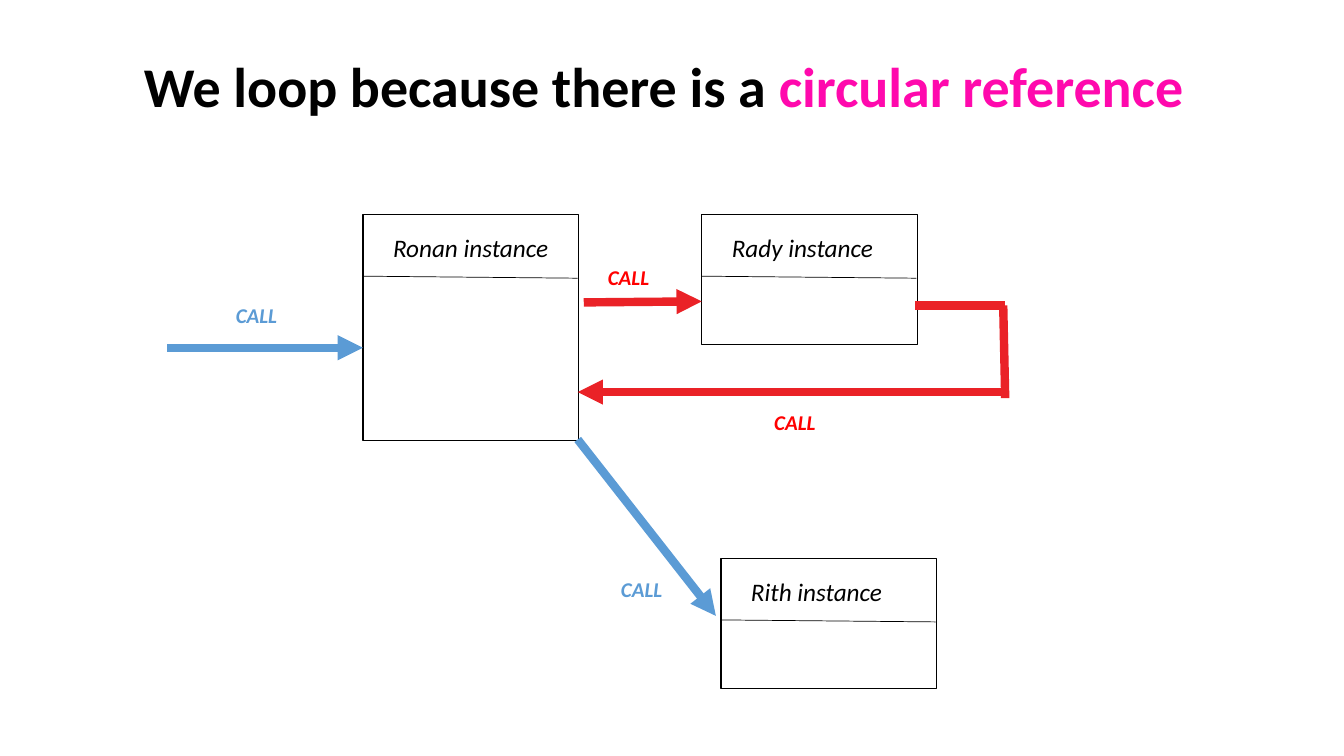
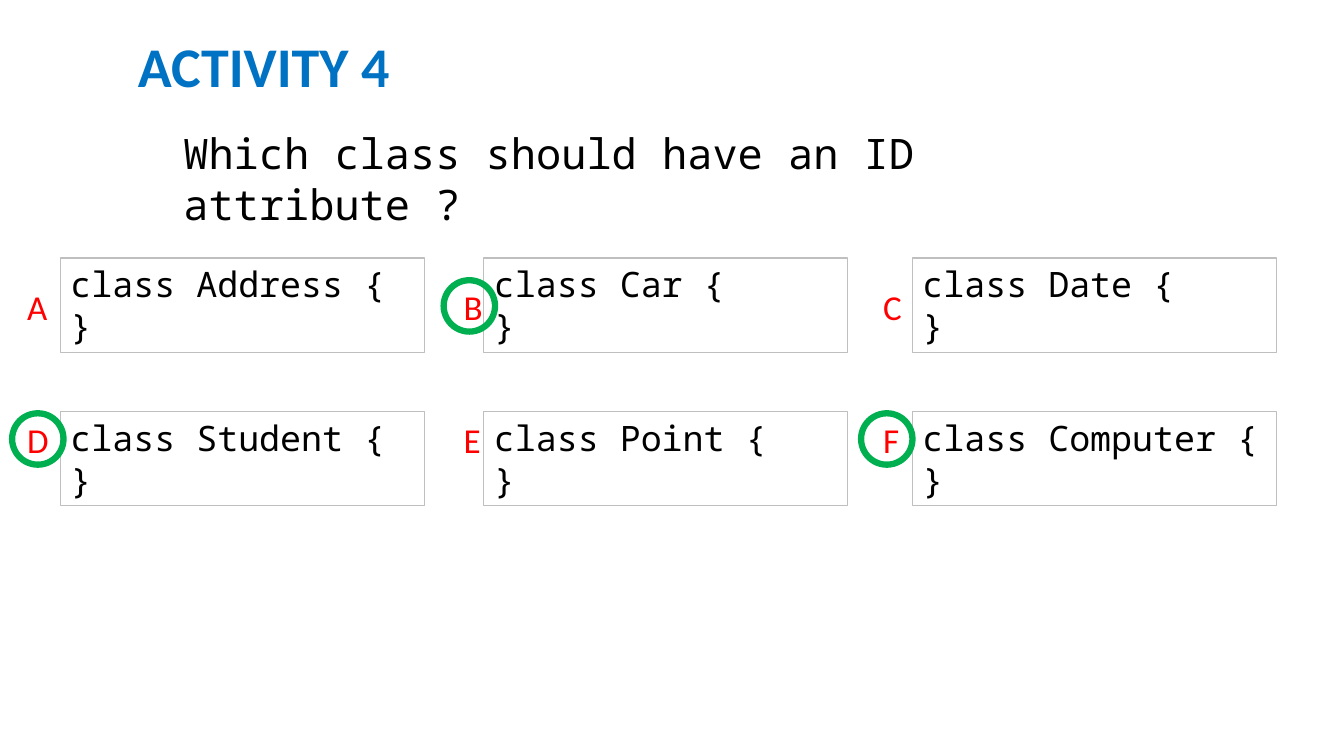
from pptx import Presentation
from pptx.dml.color import RGBColor as RGB
from pptx.enum.shapes import MSO_CONNECTOR as Link, MSO_SHAPE as Form
from pptx.enum.text import MSO_ANCHOR as Anchor, MSO_AUTO_SIZE as Fit, PP_ALIGN as Align
from pptx.oxml.ns import qn
from pptx.util import Inches, Pt
from lxml.etree import SubElement

HUES = {
    "black": "000000", "white": "FFFFFF", "pink": "FF09AD", "title": "0072C3",
    "blue": "5B9BD5", "crimson": "EA2227", "red": "FF0000",
    "gray": "BFBFBF", "green": "00B050",
}
STYLES = {
    "title": {"name": "Calibri", "size": Pt(40), "bold": True},
    "name": {"name": "Calibri", "size": Pt(18), "italic": True},
    "call": {"name": "Calibri", "size": Pt(15), "bold": True, "italic": True},
    "ask": {"name": "Noto Sans Mono", "size": Pt(30)},
    "code": {"name": "Noto Sans Mono", "size": Pt(25)},
    "mark": {"name": "Calibri", "size": Pt(25)},
}


def hue(name):
    return RGB.from_string(HUES[name])


def write(frame, style, lines, wrap=True):
    frame.word_wrap = wrap
    frame.auto_size = Fit.SHAPE_TO_FIT_TEXT
    frame.vertical_anchor = Anchor.TOP
    for i, runs in enumerate(lines):
        para = frame.add_paragraph() if i else frame.paragraphs[0]
        para.alignment = Align.LEFT
        for text, color in runs:
            run = para.add_run()
            run.text = text
            for key, value in STYLES[style].items():
                setattr(run.font, key, value)
            run.font.color.rgb = hue(color)


def label(slide, box, style, *runs, wrap=False):
    area = slide.shapes.add_textbox(*map(Inches, box))
    write(area.text_frame, style, [runs], wrap)


def title(slide, box, *runs):
    label(slide, box, "title", *runs, wrap=True)


def outline(slide, form, box, color, width, fill=None):
    shape = slide.shapes.add_shape(form, *map(Inches, box))
    shape.shadow.inherit = False
    if fill:
        shape.fill.solid()
        shape.fill.fore_color.rgb = hue(fill)
    else:
        shape.fill.background()
    shape.line.color.rgb = hue(color)
    shape.line.width = Pt(width)
    return shape


def line(slide, start, end, color, width, arrow=False):
    link = slide.shapes.add_connector(Link.STRAIGHT, *map(Inches, start + end))
    link.line.color.rgb = hue(color)
    link.line.width = Pt(width)
    if arrow:
        SubElement(link.line._get_or_add_ln(), qn("a:tailEnd"), type="triangle")
    SubElement(link._element.spPr, qn("a:effectLst"))


def instance(slide, box, name):
    x, y, w, h = box
    outline(slide, Form.RECTANGLE, box, "black", 1, "white")
    label(slide, (x + 0.2, y + 0.13, w - 0.4, 0.4), "name", (name, "black"))
    line(slide, (x, y + 0.61), (x + w - 0.01, y + 0.63), "black", 0.5)


def choice(slide, box, name, letter, mark, ring):
    x, y, w, h = box
    area = outline(slide, Form.RECTANGLE, box, "gray", 0.75)
    code = [[(f"class {name} {{", "black")], [("}", "black")]]
    write(area.text_frame, "code", code)
    label(slide, (mark, y + h - 0.94 + DROP[y], 0.4, 0.52), "mark", (letter, "red"))
    if ring is not None:
        outline(slide, Form.OVAL, (ring, y + DROP[y], 0.51, 0.51), "green", 4.5)


def loop_slide(slide):
    title(slide, (1.33, 0.46, 11.54, 1.45),
          ("We loop because there is a ", "black"), ("circular reference", "pink"))
    for name, x, y, h in (("Ronan", 3.6, 2.13, 2.24), ("Rady", 6.96, 2.13, 1.29),
                          ("Rith", 7.15, 5.54, 1.29)):
        instance(slide, (x, y, 2.14, h), f"{name} instance")
    for start, end, color, arrow in (
        ((1.66, 3.45), (3.6, 3.45), "blue", True),
        ((5.79, 3), (6.96, 2.99), "crimson", True),
        ((5.73, 4.36), (7.1, 6.11), "blue", True),
        ((9.97, 3.89), (5.73, 3.89), "crimson", True),
        ((9.97, 3.03), (9.08, 3.03), "crimson", False),
        ((9.97, 3.95), (9.95, 3.03), "crimson", False),
    ):
        line(slide, start, end, color, 6, arrow)
    for x, y, color in ((2.24, 2.95, "blue"), (5.93, 2.57, "red"),
                        (7.58, 4.01, "red"), (6.06, 5.67, "blue")):
        label(slide, (x, y, 0.62, 0.35), "call", ("CALL", color))


ROWS = (2.56, 4.08)
DROP = {2.56: 0.22, 4.08: 0.02}
COLS = ((0.6, 0.17, 0.12), (4.8, 4.5, 4.4), (9.05, 8.66, 8.54))
NAMES = ("Address", "Car", "Date", "Student", "Point", "Computer")
RIGHT = "BDF"


def quiz_slide(slide):
    title(slide, (1.27, 0.26, 3.25, 0.77), ("ACTIVITY 4", "title"))
    label(slide, (1.72, 1.22, 9.71, 0.61), "ask",
          ("Which class should have an ID attribute ?", "black"), wrap=True)
    for i, (name, letter) in enumerate(zip(NAMES, "ABCDEF")):
        row, col = divmod(i, len(COLS))
        x, mark, ring = COLS[col]
        choice(slide, (x, ROWS[row], 3.61, 0.94), name, letter, mark,
               ring if letter in RIGHT else None)


deck = Presentation()
deck.slide_width, deck.slide_height = Inches(13.33), Inches(7.5)
for build in (loop_slide, quiz_slide):
    build(deck.slides.add_slide(deck.slide_layouts[6]))
deck.save("out.pptx")
